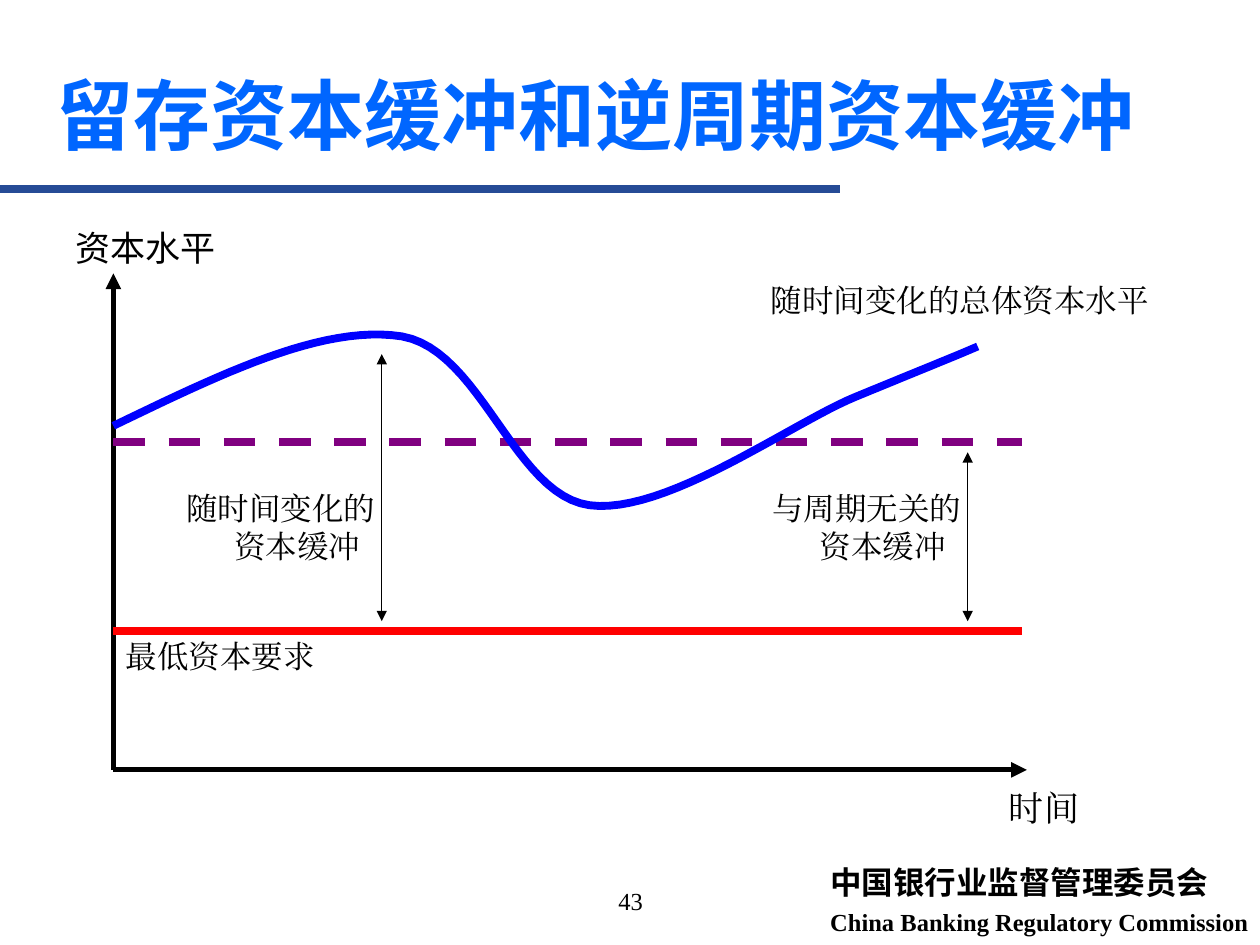
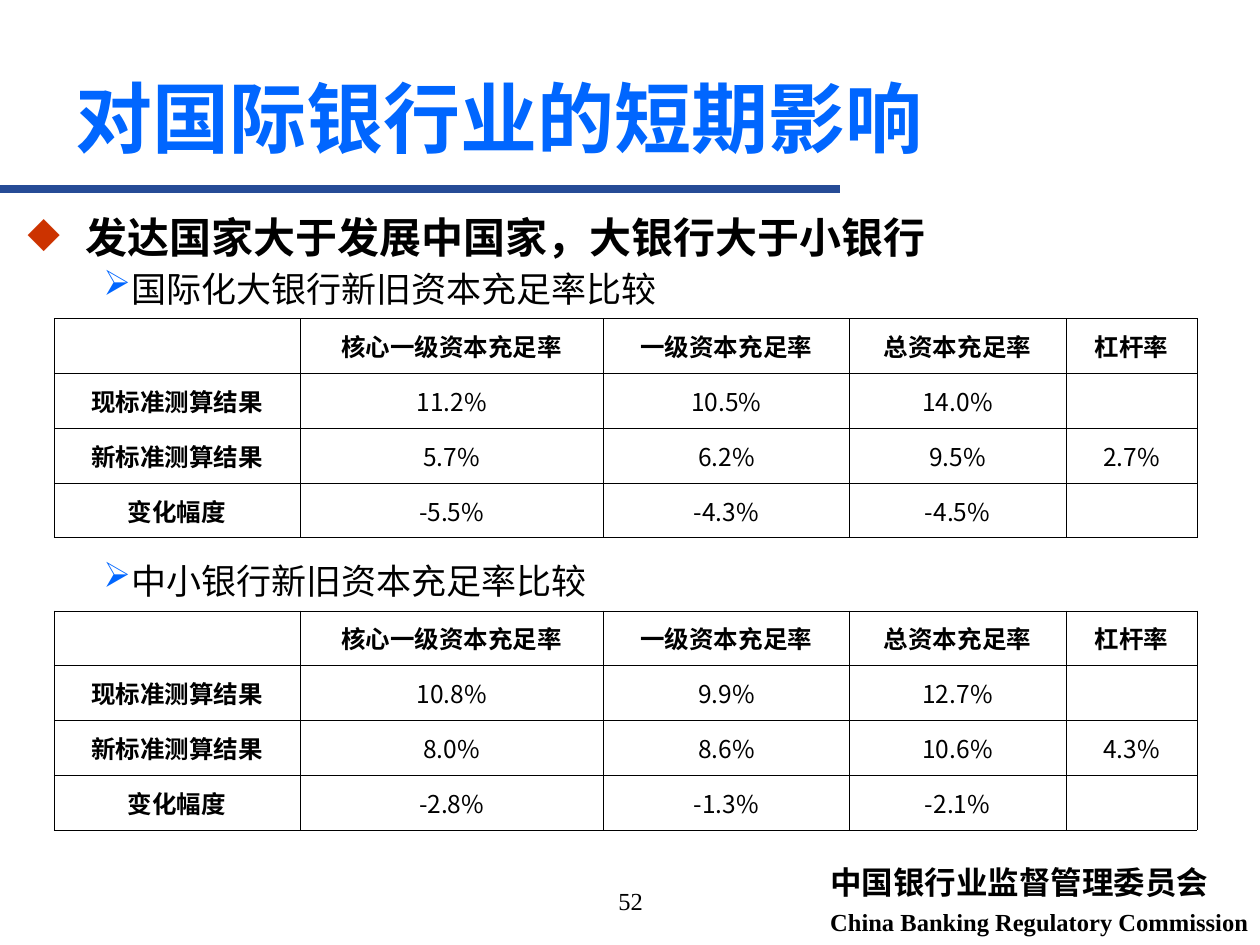
from typing import NamedTuple, Sequence

import pptx
import pptx.dml.color
import pptx.enum.dml
import pptx.enum.shapes
import pptx.enum.text
import pptx.oxml
import pptx.oxml.ns
import pptx.util
from pptx.util import Inches

BLACK, TITLE_BLUE, BAND_BLUE = "000000", "0066FF", "264B96"
CURVE_BLUE, MINIMUM_RED, BUFFER_PURPLE, DIAMOND_RED = "0000FF", "FF0000", "800080", "CC3300"
SERIF, SANS, CHINESE = "Times New Roman", "Arial", "Noto Sans CJK SC"
LEFT, CENTER = pptx.enum.text.PP_ALIGN.LEFT, pptx.enum.text.PP_ALIGN.CENTER
MIDDLE, BOTTOM = pptx.enum.text.MSO_ANCHOR.MIDDLE, pptx.enum.text.MSO_ANCHOR.BOTTOM
CURVE_STEPS = 24


class Style(NamedTuple):
    size: float
    font: str
    bold: bool = False
    color: str = BLACK
    align: int = LEFT


class Label(NamedTuple):
    text: str
    left: float
    top: float
    width: float
    height: float
    size: float = 18
    font: str = SERIF


class Line(NamedTuple):
    start: tuple[float, float]
    end: tuple[float, float]
    color: str
    width: float
    dashed: bool = False
    arrows: tuple[str, ...] = ()


class Comparison(NamedTuple):
    heading: str
    values: list[list[str]]


TITLE = Style(44, SANS, True, TITLE_BLUE)
FOOTERS = [("中国银行业监督管理委员会", Style(18, "DejaVu Sans", True)),
           ("China Banking Regulatory Commission", Style(14, SERIF, True))]
ORIGIN_X, ORIGIN_Y, MINIMUM_Y, BUFFER_Y, LEVEL_END = 0.9, 6.11, 5.01, 3.51, 8.11
BOTH_ENDS = ("a:headEnd", "a:tailEnd")
CHART_LINES = [
    Line((ORIGIN_X, ORIGIN_Y), (8.15, ORIGIN_Y), BLACK, 3, arrows=("a:tailEnd",)),
    Line((ORIGIN_X, ORIGIN_Y), (ORIGIN_X, 2.17), BLACK, 3, arrows=("a:tailEnd",)),
    Line((ORIGIN_X, MINIMUM_Y), (LEVEL_END, MINIMUM_Y), MINIMUM_RED, 4.5),
    Line((ORIGIN_X, BUFFER_Y), (LEVEL_END, BUFFER_Y), BUFFER_PURPLE, 4.5, dashed=True),
]
SPAN_ARROWS = [
    Line((3.03, 2.81), (3.03, 4.93), BLACK, 0.75, arrows=BOTH_ENDS),
    Line((7.68, 3.59), (7.68, 4.93), BLACK, 0.75, arrows=BOTH_ENDS),
]
CHART_LABELS = [
    Label("资本水平", 0.5, 1.75, 9, 0.44, 20, SANS),
    Label("时间", 7.91, 6.19, 1.26, 0.44, 20),
    Label("随时间变化的总体资本水平", 6.02, 2.18, 3.39, 0.4),
    Label("随时间变化的资本缓冲", 1.38, 3.83, 1.81, 0.7),
    Label("与周期无关的资本缓冲", 6.03, 3.83, 1.73, 0.7),
    Label("最低资本要求", ORIGIN_X, MINIMUM_Y, 3.62, 0.4),
]
CAPITAL_CURVE = [(0.9, 3.38), (1.73, 2.98), (2.56, 2.57), (3.19, 2.67), (3.82, 2.78),
                 (4.08, 3.93), (4.68, 4.01), (5.28, 4.09), (6.28, 3.36), (6.79, 3.15),
                 (7.3, 2.94), (7.6, 2.82), (7.76, 2.75)]

COLUMN_WIDTHS = [1.95, 2.41, 1.95, 1.72, 1.04]
HEADING_HEIGHT, ROW_HEIGHT = 0.58, 0.435
RATIOS = ["", "核心一级资本充足率", "一级资本充足率", "总资本充足率", "杠杆率"]
RESULTS = ["现标准测算结果", "新标准测算结果", "变化幅度"]
COMPARISONS = [
    Comparison("国际化大银行新旧资本充足率比较",
               [["11.2%", "10.5%", "14.0%", ""], ["5.7%", "6.2%", "9.5%", "2.7%"],
                ["-5.5%", "-4.3%", "-4.5%", ""]]),
    Comparison("中小银行新旧资本充足率比较",
               [["10.8%", "9.9%", "12.7%", ""], ["8.0%", "8.6%", "10.6%", "4.3%"],
                ["-2.8%", "-1.3%", "-2.1%", ""]]),
]


def rgb(color: str) -> pptx.dml.color.RGBColor:
    """Turn a hex string into a colour."""
    return pptx.dml.color.RGBColor.from_string(color)


def add_child(parent, tag: str, **attributes: str):
    """Append a drawing element and return it."""
    child = pptx.oxml.parse_xml(f"<{tag} {pptx.oxml.ns.nsdecls('a')}/>")
    for name, value in attributes.items():
        child.set(name, value)
    parent.append(child)
    return child


def write(para, text: str, style: Style) -> None:
    """Fill a paragraph with text in one style."""
    para.text = text
    para.alignment = style.align
    para.font.size = pptx.util.Pt(style.size)
    for span in para.runs:
        span.font.size = pptx.util.Pt(style.size)
        span.font.name = style.font
        span.font.bold = style.bold
        span.font.color.rgb = rgb(style.color)
        add_child(span.font._element, "a:ea", typeface=style.font)


def indent(para, margin: float, first: float) -> None:
    """Set the left margin and first-line indent."""
    properties = para._p.get_or_add_pPr()
    properties.set("marL", str(Inches(margin)))
    properties.set("indent", str(Inches(first)))


def add_bullet(para, symbol: str, color: str) -> None:
    """Give a paragraph a coloured bullet."""
    properties = para._p.get_or_add_pPr()
    add_child(add_child(properties, "a:buClr"), "a:srgbClr", val=color)
    add_child(properties, "a:buChar", char=symbol)
    para.line_spacing = 1.2


def add_box(page, left: float, top: float, width: float, height: float, wrap: bool = True):
    """Add a text box and return its frame."""
    box = page.shapes.add_textbox(Inches(left), Inches(top), Inches(width), Inches(height))
    box.text_frame.word_wrap = wrap
    return box.text_frame


def add_line(page, line: Line) -> None:
    """Draw a straight line with its dash and arrowheads."""
    connector = page.shapes.add_connector(
        pptx.enum.shapes.MSO_CONNECTOR.STRAIGHT,
        *(Inches(value) for value in line.start + line.end))
    connector.line.color.rgb = rgb(line.color)
    connector.line.width = pptx.util.Pt(line.width)
    if line.dashed:
        connector.line.dash_style = pptx.enum.dml.MSO_LINE.DASH
    for tag in line.arrows:
        add_child(connector.line._get_or_add_ln(), tag, type="triangle")
    add_child(connector._element.spPr, "a:effectLst")


def add_page(deck, title: str, number: int, left: float, top: float):
    """Add a page with the shared title, band and footer."""
    page = deck.slides.add_slide(deck.slide_layouts[6])
    footer = add_box(page, 6.49, 6.8, 3.52, 0.68, wrap=False)
    for index, (text, style) in enumerate(FOOTERS):
        para = footer.add_paragraph() if index else footer.paragraphs[0]
        write(para, text, style)
        if index:
            para.space_before = pptx.util.Pt(3.5)
    add_line(page, Line((0, 1.5), (6.67, 1.5), BAND_BLUE, 4.5))
    number_frame = add_box(page, 3.42, 6.98, 3.17, 0.52)
    write(number_frame.paragraphs[0], str(number), Style(14, SERIF, align=CENTER))
    title_frame = add_box(page, left, top, 9, 1.25)
    title_frame.vertical_anchor = MIDDLE
    write(title_frame.paragraphs[0], title, TITLE)
    return page


def add_label(page, label: Label) -> None:
    """Add a chart label with a hanging indent."""
    para = add_box(page, label.left, label.top, label.width, label.height).paragraphs[0]
    indent(para, 0.38, -0.38)
    write(para, label.text, Style(label.size, label.font))


def curve_points(controls: Sequence[tuple[float, float]]) -> list[tuple[int, int]]:
    """Sample a chain of cubic curves."""
    points = []
    for first in range(0, len(controls) - 1, 3):
        for step in range(1, CURVE_STEPS + 1):
            t = step / CURVE_STEPS
            weights = ((1 - t) ** 3, 3 * t * (1 - t) ** 2, 3 * t * t * (1 - t), t ** 3)
            segment = controls[first:first + 4]
            points.append(tuple(
                Inches(sum(weight * point[axis] for weight, point in zip(weights, segment)))
                for axis in (0, 1)))
    return points


def add_curve(page) -> None:
    """Draw the total capital level over time."""
    start_x, start_y = CAPITAL_CURVE[0]
    builder = page.shapes.build_freeform(Inches(start_x), Inches(start_y))
    builder.add_line_segments(curve_points(CAPITAL_CURVE), close=False)
    curve = builder.convert_to_shape()
    curve.shadow.inherit = False
    curve.fill.background()
    curve.line.color.rgb = rgb(CURVE_BLUE)
    curve.line.width = pptx.util.Pt(4.5)


def finish_cell(cell, sides: str) -> None:
    """Border the named sides of a cell and clear its fill."""
    properties = cell._tc.get_or_add_tcPr()
    for side in "LRTB":
        border = add_child(properties, f"a:ln{side}", w=str(pptx.util.Pt(0.45)))
        if side in sides:
            add_child(add_child(border, "a:solidFill"), "a:srgbClr", val=BLACK)
        else:
            add_child(border, "a:noFill")
    cell.fill.background()


def add_comparison(table, top_row: int, comparison: Comparison) -> None:
    """Fill one heading row and its block of ratios."""
    heading = table.cell(top_row, 0)
    heading.merge(table.cell(top_row, len(COLUMN_WIDTHS) - 1))
    heading.vertical_anchor = BOTTOM
    para = heading.text_frame.paragraphs[0]
    indent(para, 0.5, -0.21)
    add_bullet(para, "➢", TITLE_BLUE)
    write(para, comparison.heading, Style(20, CHINESE))
    table.rows[top_row].height = Inches(HEADING_HEIGHT)
    for column in range(len(COLUMN_WIDTHS)):
        finish_cell(table.cell(top_row, column), "TB" if top_row else "B")
    rows = [RATIOS] + [[name] + values for name, values in zip(RESULTS, comparison.values)]
    for offset, texts in enumerate(rows):
        row = top_row + 1 + offset
        table.rows[row].height = Inches(ROW_HEIGHT)
        for column, text in enumerate(texts):
            cell = table.cell(row, column)
            cell.vertical_anchor = MIDDLE
            bold = offset == 0 or column == 0
            write(cell.text_frame.paragraphs[0], text, Style(14, CHINESE, bold, align=CENTER))
            finish_cell(cell, "LRTB")


def build_buffer_page(deck) -> None:
    """Build the capital buffer chart."""
    page = add_page(deck, "留存资本缓冲和逆周期资本缓冲", 43, 0.35, 0.28)
    for line in CHART_LINES:
        add_line(page, line)
    add_curve(page)
    for label in CHART_LABELS:
        add_label(page, label)
    for arrow in SPAN_ARROWS:
        add_line(page, arrow)


def build_impact_page(deck) -> None:
    """Build the table of short-term effects."""
    page = add_page(deck, "对国际银行业的短期影响", 52, 0.5, 0.3)
    para = add_box(page, 0.12, 1.55, 9.78, 0.5).paragraphs[0]
    indent(para, 0.46, -0.46)
    add_bullet(para, "◆", DIAMOND_RED)
    write(para, "发达国家大于发展中国家，大银行大于小银行", Style(24, SANS, True))
    block = 2 + len(RESULTS)
    table = page.shapes.add_table(
        block * len(COMPARISONS), len(COLUMN_WIDTHS), Inches(0.43), Inches(1.95),
        Inches(sum(COLUMN_WIDTHS)), Inches(4.64)).table
    table.first_row = table.horz_banding = False
    for column, width in zip(table.columns, COLUMN_WIDTHS):
        column.width = Inches(width)
    for index, comparison in enumerate(COMPARISONS):
        add_comparison(table, index * block, comparison)


def main() -> None:
    """Build and save the deck."""
    deck = pptx.Presentation()
    deck.slide_width, deck.slide_height = Inches(10), Inches(7.5)
    build_buffer_page(deck)
    build_impact_page(deck)
    deck.save("out.pptx")


if __name__ == "__main__":
    main()
